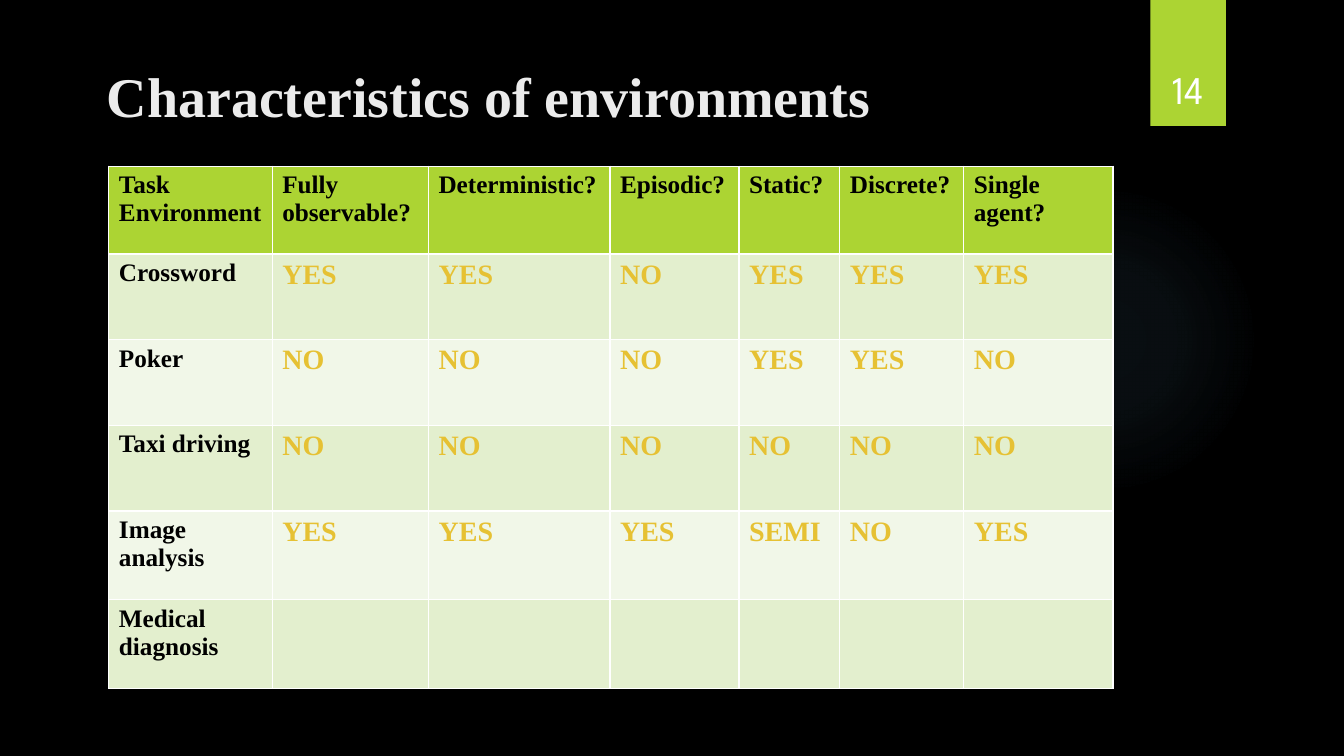
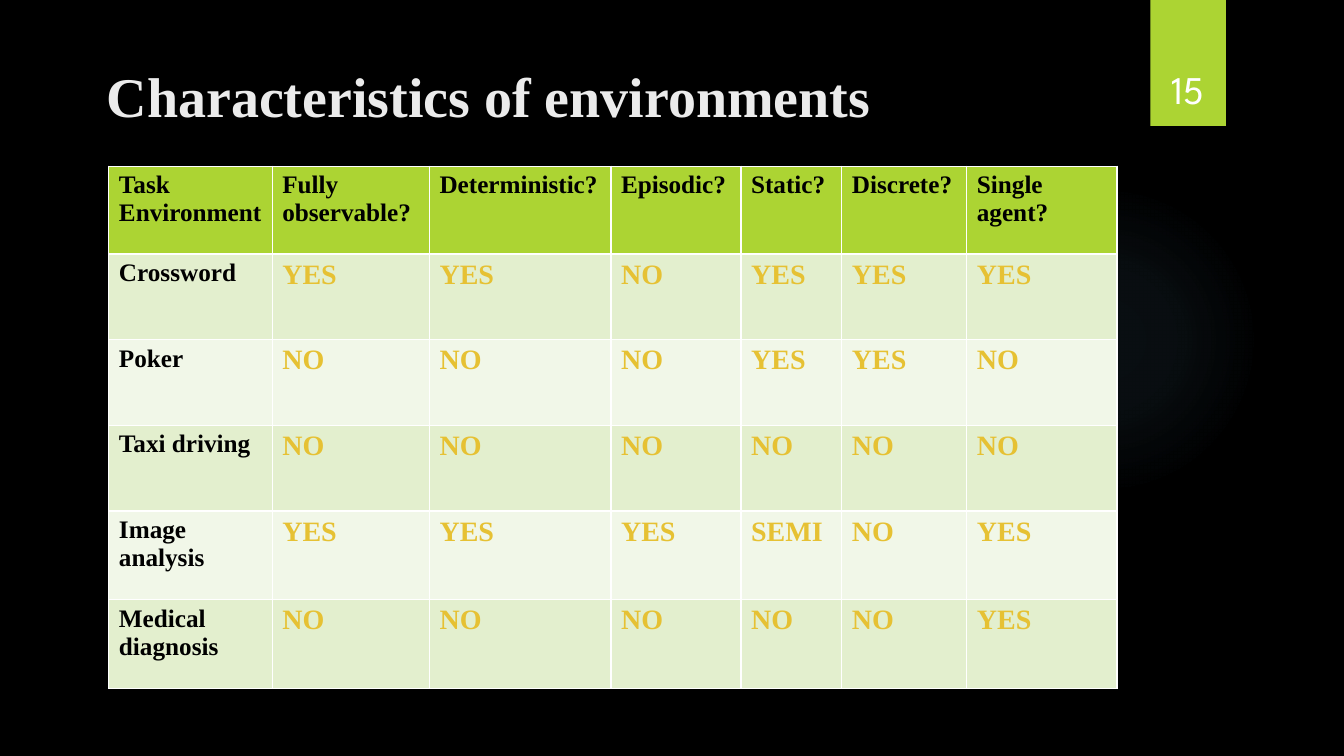
from lxml import etree
from pptx import Presentation
from pptx.dml.color import RGBColor
from pptx.enum.shapes import MSO_SHAPE as Shape
from pptx.enum.text import MSO_ANCHOR as Anchor, PP_ALIGN as Align
from pptx.oxml.ns import qn
from pptx.util import Inches, Pt

# Content
TITLE = "Characteristics of environments"
HEADINGS = ["Task Environment", "Fully observable?", "Deterministic?",
            "Episodic?", "Static?", "Discrete?", "Single agent?"]
ENVIRONMENTS = [
    ["Crossword", "YES", "YES", "NO", "YES", "YES", "YES"],
    ["Poker", "NO", "NO", "NO", "YES", "YES", "NO"],
    ["Taxi driving", "NO", "NO", "NO", "NO", "NO", "NO"],
    ["Image analysis", "YES", "YES", "YES", "SEMI", "NO", "YES"],
]
QUESTION = ["Medical diagnosis"] + [""] * 6
ANSWER = ["Medical diagnosis", "NO", "NO", "NO", "NO", "NO", "YES"]
PAGES = [
    {"number": 14, "last_row": QUESTION,
     "widths": [1.62, 1.55, 1.8, 1.28, 1, 1.23, 1.48]},
    {"number": 15, "last_row": ANSWER,
     "widths": [1.62, 1.56, 1.8, 1.29, 1, 1.24, 1.49]},
]

# Shared style
COLORS = {"background": "000000", "title": "EBEBEB", "accent": "ACD433",
          "glow": "7AC4F0", "label": "000000", "value": "E6C133",
          "odd_row": "E3EFCE", "even_row": "F1F7E8", "number": "FFFFFF"}
SERIF, NUMBER_FONT = "Times New Roman", "League Spartan"
ROW_HEIGHTS = [0.87, 0.85, 0.85, 0.85, 0.88, 0.88]
GLOW_STOPS = [(0, 7), (36, 6), (69, 0)]  # position %, opacity %


def box(left, top, width, height):
    return [Inches(value) for value in (left, top, width, height)]


def paint(target, color):
    target.fill.solid()
    target.fill.fore_color.rgb = RGBColor.from_string(COLORS[color])


def style(paragraph, font_name, size, color, bold=False):
    font = paragraph.runs[0].font
    font.name, font.size, font.bold = font_name, Pt(size), bold
    font.color.rgb = RGBColor.from_string(COLORS[color])


def add_plain_shape(slide, preset, place, color):
    shape = slide.shapes.add_shape(preset, *box(*place))
    shape.shadow.inherit = False
    shape.line.fill.background()
    paint(shape, color)
    return shape


def add_glow(slide):
    glow = add_plain_shape(slide, Shape.OVAL, (9.41, 1.83, 3.08, 3.08), "glow")
    solid = glow.element.spPr.find(qn("a:solidFill"))
    gradient = etree.Element(qn("a:gradFill"), rotWithShape="1")
    stops = etree.SubElement(gradient, qn("a:gsLst"))
    for position, opacity in GLOW_STOPS:
        stop = etree.SubElement(stops, qn("a:gs"), pos=str(position * 1000))
        color = etree.SubElement(stop, qn("a:srgbClr"), val=COLORS["glow"])
        etree.SubElement(color, qn("a:alpha"), val=str(opacity * 1000))
    circle = etree.SubElement(gradient, qn("a:path"))
    circle.set("path", "circle")
    etree.SubElement(circle, qn("a:fillToRect"),
                     {side: "50000" for side in "ltrb"})
    solid.getparent().replace(solid, gradient)


def add_title(slide):
    title = slide.shapes.title
    title.left, title.top, title.width, title.height = box(0.96, 0.52, 10.29, 0.84)
    frame = title.text_frame
    frame.text = TITLE
    frame.vertical_anchor = Anchor.MIDDLE
    frame.paragraphs[0].alignment = Align.LEFT
    style(frame.paragraphs[0], SERIF, 40, "title", bold=True)


def add_page_number(slide, number):
    add_plain_shape(slide, Shape.RECTANGLE, (11.41, 0, 0.75, 1.25), "accent")
    frame = slide.shapes.add_textbox(*box(11.32, 0.32, 0.92, 0.84)).text_frame
    frame.word_wrap = True
    frame.vertical_anchor = Anchor.BOTTOM
    frame.text = str(number)
    frame.paragraphs[0].alignment = Align.CENTER
    style(frame.paragraphs[0], NUMBER_FONT, 28, "number")


def add_environment_table(slide, rows, widths):
    place = box(1.08, 1.65, sum(widths), sum(ROW_HEIGHTS))
    table = slide.shapes.add_table(len(rows), len(widths), *place).table
    for column, width in zip(table.columns, widths):
        column.width = Inches(width)
    for r, (texts, height) in enumerate(zip(rows, ROW_HEIGHTS)):
        table.rows[r].height = Inches(height)
        fill = "accent" if r == 0 else "odd_row" if r % 2 else "even_row"
        for c, text in enumerate(texts):
            cell = table.cell(r, c)
            paint(cell, fill)
            if text:
                cell.text_frame.text = text
                size, color = (18, "label") if r == 0 or c == 0 else (20, "value")
                style(cell.text_frame.paragraphs[0], SERIF, size, color, bold=True)


def main():
    deck = Presentation()
    deck.slide_width, deck.slide_height = Inches(13.33), Inches(7.5)
    paint(deck.slide_master.background, "background")
    title_only = deck.slide_layouts[5]
    for page in PAGES:
        slide = deck.slides.add_slide(title_only)
        add_glow(slide)
        add_title(slide)
        rows = [HEADINGS, *ENVIRONMENTS, page["last_row"]]
        add_environment_table(slide, rows, page["widths"])
        add_page_number(slide, page["number"])
    deck.save("out.pptx")


if __name__ == "__main__":
    main()
